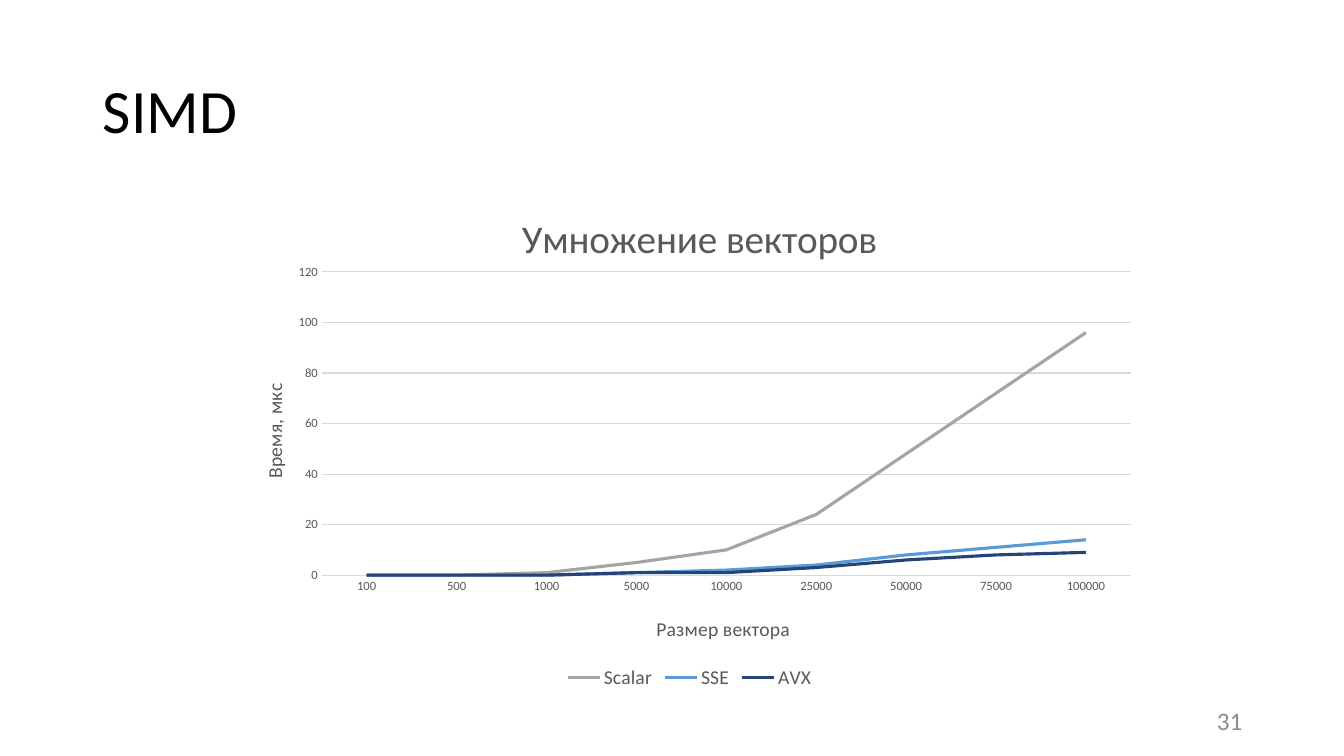
import pptx
import pptx.util
import pptx.chart.data
import pptx.dml.color
import pptx.enum.chart
import pptx.enum.text
import pptx.oxml
import pptx.oxml.ns
from dataclasses import dataclass


@dataclass(frozen=True)
class Theme:
    font: str = "Calibri"
    ink: str = "000000"
    muted: str = "595959"
    number: str = "8C8C8C"
    grid: str = "D9D9D9"
    title_size: int = 44
    chart_title_size: int = 28
    number_size: int = 18
    label_size: int = 14
    tick_size: int = 9


theme = Theme()
Inches = pptx.util.Inches
Pt = pptx.util.Pt
qn = pptx.oxml.ns.qn


def style(font, size, color):
    font.name = theme.font
    font.size = Pt(size)
    font.bold = False
    font.color.rgb = pptx.dml.color.RGBColor.from_string(color)


def place(element, index, **shares):
    for old in element.findall(qn("c:layout")):
        element.remove(old)
    inner = '<c:layoutTarget val="inner"/>' if "w" in shares else ""
    modes = '<c:xMode val="edge"/><c:yMode val="edge"/>'
    values = "".join(f'<c:{key} val="{share}"/>' for key, share in shares.items())
    element.insert(index, pptx.oxml.parse_xml(
        f'<c:layout {pptx.oxml.ns.nsdecls("c")}><c:manualLayout>'
        f'{inner}{modes}{values}</c:manualLayout></c:layout>'))


deck = pptx.Presentation()
deck.slide_width = Inches(13.33)
deck.slide_height = Inches(7.5)
page = deck.slides.add_slide(deck.slide_layouts[5])

heading = page.shapes.title
heading.left, heading.top = Inches(0.92), Inches(0.4)
heading.width, heading.height = Inches(11.5), Inches(1.45)
number_box = page.shapes.add_textbox(Inches(9.42), Inches(6.95), Inches(3), Inches(0.4))

align = pptx.enum.text.PP_ALIGN
for box, text, size, color, alignment in (
    (heading, "SIMD", theme.title_size, theme.ink, align.LEFT),
    (number_box, "31", theme.number_size, theme.number, align.RIGHT),
):
    frame = box.text_frame
    frame.word_wrap = True
    frame.vertical_anchor = pptx.enum.text.MSO_ANCHOR.MIDDLE
    para = frame.paragraphs[0]
    para.text = text
    para.alignment = alignment
    style(para.font, size, color)
heading.text_frame.paragraphs[0].line_spacing = 0.9

timings = {
    "Scalar": ("A5A5A5", (0, 0, 1, 5, 10, 24, 48, 72, 96)),
    "SSE": ("5B9BD5", (0, 0, 0, 1, 2, 4, 8, 11, 14)),
    "AVX": ("264478", (0, 0, 0, 1, 1, 3, 6, 8, 9)),
}
data = pptx.chart.data.CategoryChartData()
data.categories = ["100", "500", "1000", "5000", "10000", "25000", "50000", "75000", "100000"]
for name, (color, values) in timings.items():
    data.add_series(name, values)

chart = page.shapes.add_chart(
    pptx.enum.chart.XL_CHART_TYPE.LINE,
    Inches(2.28), Inches(1.78), Inches(9.12), Inches(5.1), data).chart
style(chart.font, theme.tick_size, theme.muted)
plot = chart.plots[0]
plot.vary_by_categories = False
for series in plot.series:
    series.smooth = False
    series.marker.style = pptx.enum.chart.XL_MARKER_STYLE.NONE
    series.format.line.width = Pt(2.25)
    series.format.line.color.rgb = pptx.dml.color.RGBColor.from_string(timings[series.name][0])

chart.has_legend = True
chart.legend.position = pptx.enum.chart.XL_LEGEND_POSITION.BOTTOM
chart.legend.include_in_layout = False
style(chart.legend.font, theme.label_size, theme.muted)

size_axis, time_axis = chart.category_axis, chart.value_axis
for axis in (size_axis, time_axis):
    axis.major_tick_mark = pptx.enum.chart.XL_TICK_MARK.NONE
    axis.minor_tick_mark = pptx.enum.chart.XL_TICK_MARK.NONE
    style(axis.tick_labels.font, theme.tick_size, theme.muted)
time_axis.minimum_scale, time_axis.maximum_scale, time_axis.major_unit = 0, 120, 20
time_axis.format.line.fill.background()
for line in (size_axis.format.line, time_axis.major_gridlines.format.line):
    line.color.rgb = pptx.dml.color.RGBColor.from_string(theme.grid)
    line.width = Pt(0.75)

for title, text, size, x, y in (
    (chart.chart_title, "Умножение векторов", theme.chart_title_size, 0.31, 0.05),
    (size_axis.axis_title, "Размер вектора", theme.label_size, 0.46, 0.84),
    (time_axis.axis_title, "Время, мкс", theme.label_size, 0.03, 0.39),
):
    para = title.text_frame.paragraphs[0]
    para.text = text
    style(para.font, size, theme.muted)
    place(title._element, 1, x=x, y=y)

turned = next(time_axis.axis_title._element.iter(qn("a:bodyPr")))
turned.set("rot", "-5400000")
turned.set("vert", "horz")
place(plot._element.getparent(), 0, x=0.1, y=0.18, w=0.88, h=0.59)

deck.save("out.pptx")
